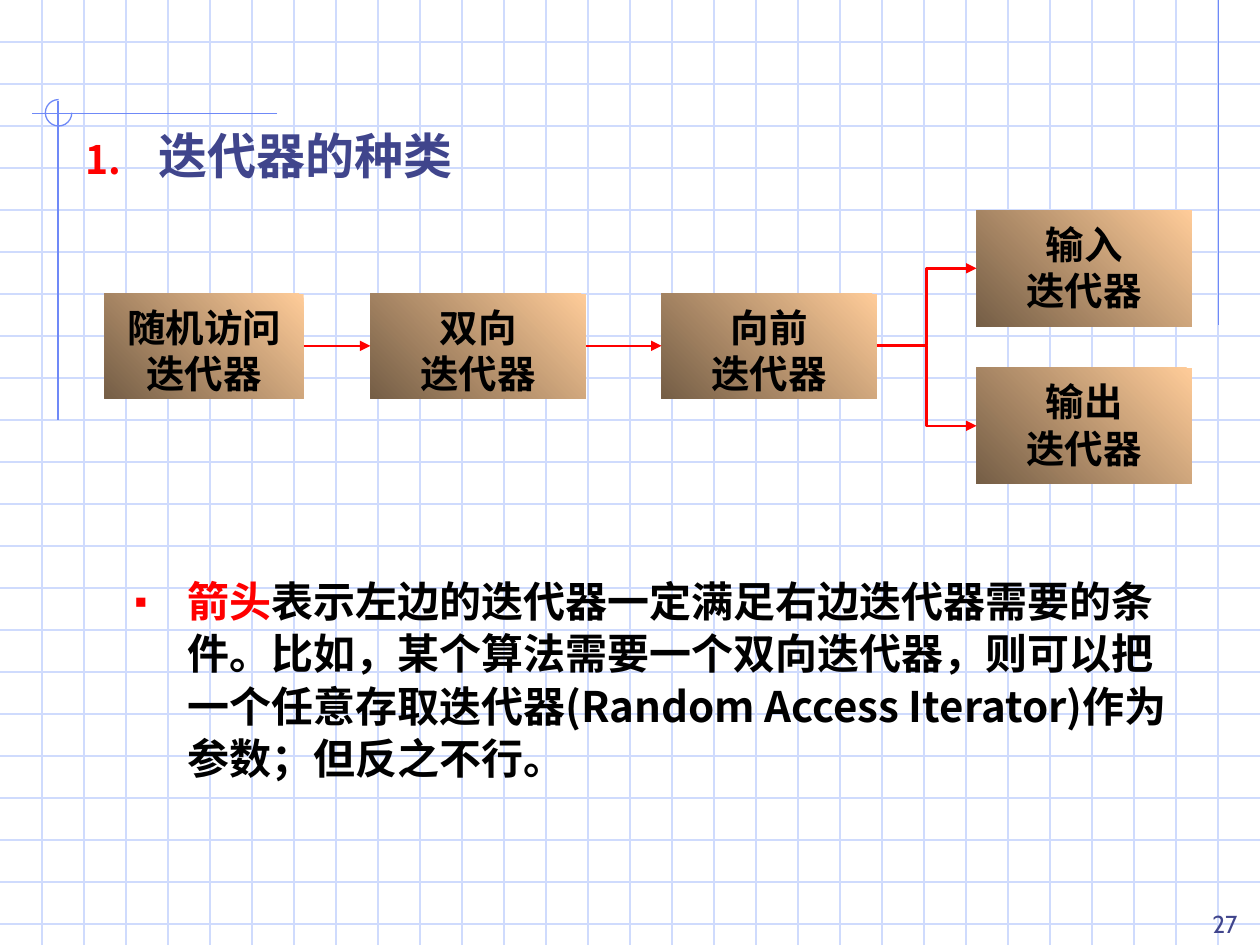
import pptx
import pptx.util
import pptx.dml.color
import pptx.enum.dml
import pptx.enum.shapes
import pptx.enum.text
import pptx.oxml
import pptx.oxml.ns
from pptx.util import Inches

RGBColor = pptx.dml.color.RGBColor
GRID = RGBColor(0xCF, 0xDB, 0xFD)
ACCENT = RGBColor(0x6F, 0x89, 0xF7)
NAVY = RGBColor(0x40, 0x45, 0x8C)
RED = RGBColor(0xFF, 0x00, 0x00)
BLACK = RGBColor(0x00, 0x00, 0x00)
SAND = RGBColor(0xFF, 0xCC, 0x99)
BROWN = RGBColor(0x75, 0x5E, 0x46)

CJK_FONT = "Noto Sans CJK SC"
HEAD_FONT = "Cabin"
NODE_FONT = "Times New Roman"
SHAPES = pptx.enum.shapes.MSO_SHAPE
LINES = pptx.enum.shapes.MSO_CONNECTOR
ALIGN = pptx.enum.text.PP_ALIGN
ANCHOR = pptx.enum.text.MSO_ANCHOR
LEFT_SITE, RIGHT_SITE = 1, 3


def add_xml(parent, tag, **attributes):
    child = pptx.oxml.parse_xml(f"<{tag} {pptx.oxml.ns.nsdecls('a')}/>")
    for name, value in attributes.items():
        child.set(name, value)
    parent.append(child)
    return child


class Painter:
    """Holds the style and the current slide."""

    def __init__(self, page):
        self.page = page

    def line(self, start, end, color, width=0.75, kind=LINES.STRAIGHT):
        line = self.page.shapes.add_connector(
            kind, *(Inches(value) for value in (*start, *end)))
        line.line.color.rgb = color
        line.line.width = pptx.util.Pt(width)
        add_xml(line._element.spPr, "a:effectLst")
        return line

    def arrow(self, source, target, kind):
        arrow = self.line((0, 0), (1, 1), RED, 1.5, kind)
        arrow.begin_connect(source, RIGHT_SITE)
        arrow.end_connect(target, LEFT_SITE)
        add_xml(arrow.line._get_or_add_ln(), "a:tailEnd", type="triangle")

    def arc(self, left, top, size):
        arc = self.page.shapes.add_shape(
            SHAPES.ARC, Inches(left), Inches(top), Inches(size), Inches(size))
        arc.adjustments[0] = 0
        arc.adjustments[1] = 162  # 270 degrees
        arc.shadow.inherit = False
        arc.fill.background()
        arc.line.color.rgb = ACCENT
        arc.line.width = pptx.util.Pt(0.75)

    def span(self, para, text, size, font, color, bold=True):
        span = para.add_run()
        span.text = text
        span.font.size = pptx.util.Pt(size)
        span.font.name = font
        span.font.bold = bold
        span.font.color.rgb = color
        add_xml(span.font._element, "a:ea", typeface=CJK_FONT)

    def node(self, left, top, width, height, words):
        node = self.page.shapes.add_shape(
            SHAPES.RECTANGLE, Inches(left), Inches(top), Inches(width), Inches(height))
        node.shadow.inherit = False
        node.line.fill.background()
        node.fill.gradient()
        node.fill.gradient_angle = 225
        for stop, color in zip(node.fill.gradient_stops, (SAND, BROWN)):
            stop.color.rgb = color
        frame = node.text_frame
        frame.word_wrap = True
        frame.vertical_anchor = ANCHOR.TOP
        frame.margin_left = frame.margin_right = frame.margin_bottom = 0
        frame.margin_top = Inches(0.08)
        for index, word in enumerate(words):
            para = frame.add_paragraph() if index else frame.paragraphs[0]
            para.alignment = ALIGN.CENTER
            para.line_spacing = pptx.util.Pt(26.5)
            self.span(para, word, 22, NODE_FONT, BLACK)
        return node

    def text(self, left, top, width, height, anchor=ANCHOR.TOP):
        """Add a text box and return its first paragraph."""
        box = self.page.shapes.add_textbox(
            Inches(left), Inches(top), Inches(width), Inches(height))
        box.text_frame.word_wrap = True
        box.text_frame.vertical_anchor = anchor
        return box.text_frame.paragraphs[0]

    def bullet(self, para, margin, hanging, tag, **mark):
        para.line_spacing = pptx.util.Pt(30)
        settings = para._p.get_or_add_pPr()
        settings.set("marL", str(Inches(margin)))
        settings.set("indent", str(-Inches(hanging)))
        add_xml(add_xml(settings, "a:buClr"), "a:srgbClr", val=str(RED))
        add_xml(settings, "a:buSzPct", val="80000")
        add_xml(settings, "a:buFont", typeface=CJK_FONT)
        add_xml(settings, tag, **mark)


def main():
    deck = pptx.Presentation()
    deck.slide_width, deck.slide_height = Inches(10), Inches(7.5)
    painter = Painter(deck.slides.add_slide(deck.slide_layouts[6]))

    # Background grid, three squares to the inch
    for step in range(1, 23):
        painter.line((0, step / 3), (10, step / 3), GRID)
    for step in range(1, 30):
        painter.line((step / 3, 0), (step / 3, 7.5), GRID)

    # Corner ornaments
    painter.line((9.67, 0), (9.67, 2.58), ACCENT)
    painter.line((2.2, 0.9), (0.25, 0.9), ACCENT)
    painter.line((0.46, 0.8), (0.46, 3.33), ACCENT)
    painter.arc(0.36, 0.79, 0.21)

    # Heading
    heading = painter.text(0.58, 1, 9, 0.6)
    painter.bullet(heading, 0.58, 0.58, "a:buAutoNum", type="arabicPeriod")
    painter.span(heading, "迭代器的种类", 28, HEAD_FONT, NAVY)

    # Explanation
    note = painter.text(0.58, 4.5, 9, 2)
    painter.bullet(note, 0.81, 0.5, "a:buChar", char="▪")
    painter.span(note, "箭头", 24, CJK_FONT, RED)
    painter.span(
        note,
        "表示左边的迭代器一定满足右边迭代器需要的条件。比如，某个算法需要一个双向迭代器，"
        "则可以把一个任意存取迭代器(Random Access Iterator)作为参数；但反之不行。",
        24, CJK_FONT, BLACK)

    # Iterator kinds
    kinds = [
        ("随机访问", 0.83, 2.33, 1.58, 0.83),
        ("双向", 2.94, 2.33, 1.71, 0.83),
        ("向前", 5.25, 2.33, 1.71, 0.83),
        ("输出", 7.75, 2.92, 1.71, 0.92),
        ("输入", 7.75, 1.67, 1.71, 0.92),
    ]
    nodes = [painter.node(*place, (name, "迭代器")) for name, *place in kinds]
    random_access, two_way, forward, output, entry = nodes

    # Arrows between the kinds
    painter.arrow(random_access, two_way, LINES.STRAIGHT)
    painter.arrow(two_way, forward, LINES.STRAIGHT)
    for target in (entry, output):
        painter.arrow(forward, target, LINES.ELBOW)

    # Page number
    number = painter.text(9.25, 7, 0.67, 0.5, ANCHOR.BOTTOM)
    number.alignment = ALIGN.RIGHT
    painter.span(number, "27", 14, HEAD_FONT, NAVY, bold=False)

    deck.save("out.pptx")


if __name__ == "__main__":
    main()
